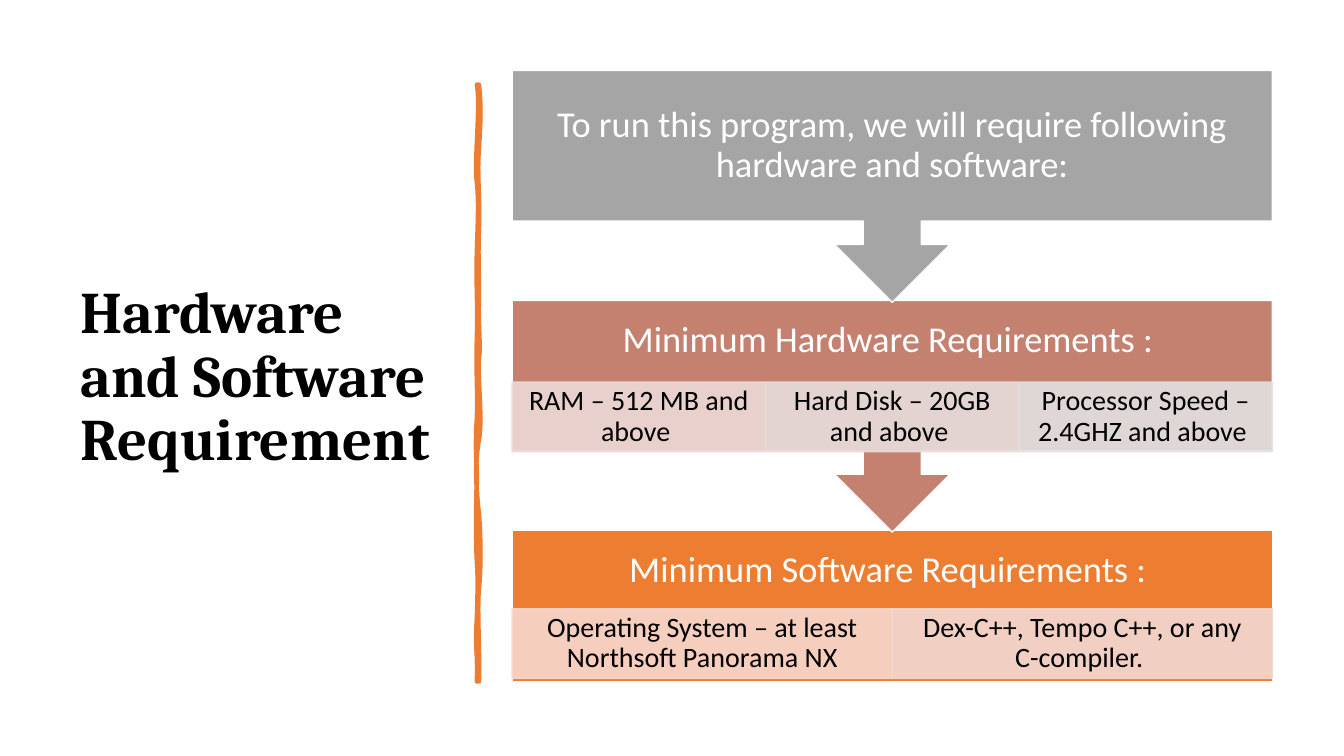
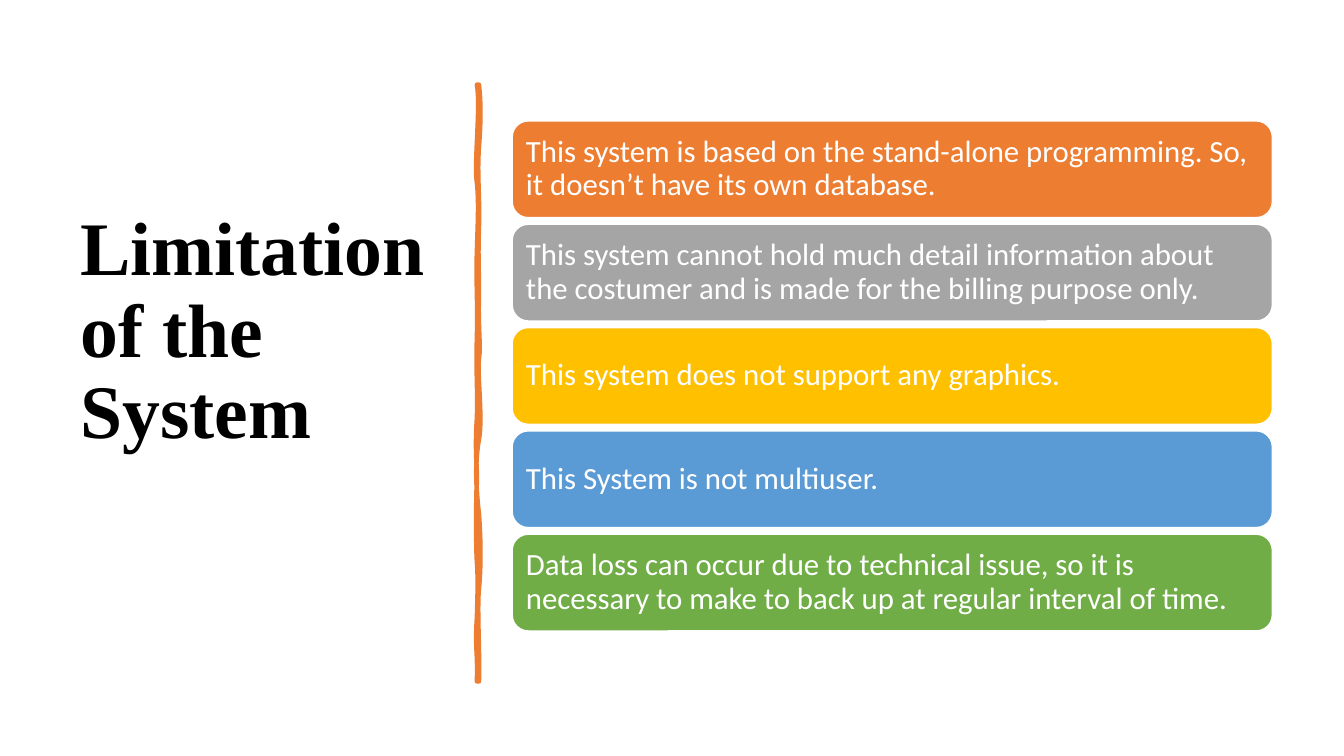
from pptx import Presentation
from pptx.dml.color import RGBColor
from pptx.enum.shapes import MSO_SHAPE
from pptx.enum.text import MSO_ANCHOR, PP_ALIGN
from pptx.oxml.ns import qn
from pptx.util import Inches, Pt
from lxml.etree import SubElement

WHITE, BLACK, ORANGE, GRAY = "FFFFFF", "000000", "ED7D31", "A5A5A5"
BODY_FONT = "Calibri"
LEFT, WIDTH = 5.08, 7.54
TITLE_LEFT, TITLE_TOP, TITLE_WIDTH = 0.7, 0.7, 3.74

REQUIREMENTS_TITLE = ("Hardware and Software Requirement", "Cambria", 42, 6.1)
LIMITATIONS_TITLE = ("Limitation of the System", "Times New Roman", 54, 5.2)

STEP_TOP, STEP_PITCH, STEP_HEIGHT, CALLOUT_HEIGHT = 0.7, 2.28, 1.5, 2.3
DETAIL_HEIGHT = 0.69
STEPS = [
    ("To run this program, we will require following hardware and software:", GRAY, 0, []),
    ("Minimum Hardware Requirements : ", "C48170", 0.81, [
        ("RAM – 512 MB and above ", "EDD9D7"),
        ("Hard Disk – 20GB and above ", "E7DCDC"),
        ("Processor Speed – 2.4GHZ and above ", "E1E1E1"),
    ]),
    ("Minimum Software Requirements : ", ORANGE, 0.78, [
        ("Operating System – at least Northsoft Panorama NX", "F8D7CE"),
        ("Dex-C++, Tempo C++, or any C-compiler. ", "F2D8D2"),
    ]),
]

CARD_TOP, CARD_LAST_TOP, CARD_HEIGHT = 1.2, 5.3, 0.96
LIMITATIONS = [
    ("This system is based on the stand-alone programming. So, it doesn’t have its own database.", ORANGE),
    ("This system cannot hold much detail information about the costumer and is made for the "
     "billing purpose only.", GRAY),
    ("This system does not support any graphics.", "FFC000"),
    ("This System is not multiuser.", "5B9BD5"),
    ("Data loss can occur due to technical issue, so it is necessary to make to back up at "
     "regular interval of time.", "70AD47"),
]

STROKE_START = (4.75, 0.84)
STROKE_CURVES = [
    ((4.77, 1.02), (4.77, 1.19), (4.75, 1.46)),
    ((4.73, 1.73), (4.76, 1.95), (4.75, 2.26)),
    ((4.74, 2.57), (4.75, 2.62), (4.75, 2.94)),
    ((4.74, 3.25), (4.77, 3.42), (4.75, 3.56)),
    ((4.73, 3.7), (4.79, 4.14), (4.75, 4.36)),
    ((4.71, 4.57), (4.72, 4.84), (4.75, 5.1)),
    ((4.77, 5.36), (4.77, 5.64), (4.75, 5.84)),
    ((4.73, 6.03), (4.76, 6.5), (4.75, 6.76)),
    ((4.74, 6.76), (4.73, 6.76), (4.73, 6.76)),
    ((4.74, 6.46), (4.71, 6.44), (4.73, 6.13)),
    ((4.74, 5.83), (4.74, 5.7), (4.73, 5.57)),
    ((4.72, 5.44), (4.72, 4.95), (4.73, 4.77)),
    ((4.73, 4.59), (4.71, 4.45), (4.73, 4.15)),
    ((4.74, 3.86), (4.72, 3.73), (4.73, 3.35)),
    ((4.74, 2.98), (4.72, 2.81), (4.73, 2.5)),
    ((4.74, 2.18), (4.75, 2), (4.73, 1.81)),
    ((4.7, 1.63), (4.77, 1.04), (4.73, 0.84)),
    ((4.74, 0.84), (4.74, 0.84), (4.75, 0.84)),
]


def rgb(color):
    """Turn a hex string into a colour."""
    return RGBColor.from_string(color)


def paint(shape, fill, line, line_width=1, alpha=None):
    """Give a shape its fill and outline, without shadow."""
    shape.shadow.inherit = False
    shape.fill.solid()
    shape.fill.fore_color.rgb = rgb(fill)
    shape.line.color.rgb = rgb(line)
    shape.line.width = Pt(line_width)
    if alpha:
        for color in shape._element.spPr.iter(qn("a:srgbClr")):
            SubElement(color, qn("a:alpha"), val=str(alpha * 1000))


def write(shape, text, size, color, insets, align=PP_ALIGN.LEFT, font=BODY_FONT, bold=False):
    """Put one paragraph into a shape, centred vertically."""
    frame = shape.text_frame
    frame.word_wrap = True
    frame.vertical_anchor = MSO_ANCHOR.MIDDLE
    (frame.margin_left, frame.margin_top,
     frame.margin_right, frame.margin_bottom) = map(Inches, insets)
    paragraph = frame.paragraphs[0]
    paragraph.alignment = align
    paragraph.line_spacing = 0.9
    run = paragraph.add_run()
    run.text = text
    run.font.name, run.font.size, run.font.bold = font, Pt(size), bold
    run.font.color.rgb = rgb(color)


def add_block(slide, preset, *box):
    """Add a preset shape at a place in inches."""
    return slide.shapes.add_shape(preset, *map(Inches, box))


def add_stroke(slide):
    """Draw the wavy vertical divider, bending each segment into a cubic curve."""
    builder = slide.shapes.build_freeform(*map(Inches, STROKE_START))
    builder.add_line_segments([tuple(map(Inches, curve[-1])) for curve in STROKE_CURVES], close=True)
    stroke = builder.convert_to_shape()
    segments = list(stroke._element.spPr.iter(qn("a:lnTo")))
    for segment, curve in zip(segments, STROKE_CURVES):
        segment.tag = qn("a:cubicBezTo")
        segment.clear()
        for x, y in curve:
            SubElement(segment, qn("a:pt"), x=str(Inches(x) - stroke.left),
                       y=str(Inches(y) - stroke.top))
    paint(stroke, ORANGE, ORANGE, 3.25)
    SubElement(stroke._element.spPr.find(qn("a:ln")), qn("a:round"))


def add_titled_slide(deck, text, font, size, height):
    """Add a blank slide with the title and divider."""
    slide = deck.slides.add_slide(deck.slide_layouts[6])
    title = slide.shapes.add_textbox(*map(Inches, (TITLE_LEFT, TITLE_TOP, TITLE_WIDTH, height)))
    write(title, text, size, BLACK, (0.1, 0.05, 0.1, 0.05), font=font, bold=True)
    add_stroke(slide)
    return slide


def add_step(slide, index):
    """Add one step of the process with its details."""
    heading, color, detail_offset, details = STEPS[index]
    top = STEP_TOP + index * STEP_PITCH
    if index == len(STEPS) - 1:
        preset, height = MSO_SHAPE.RECTANGLE, STEP_HEIGHT
    else:
        preset, height = MSO_SHAPE.DOWN_ARROW_CALLOUT, CALLOUT_HEIGHT
    step = add_block(slide, preset, LEFT, top, WIDTH, height)
    paint(step, color, WHITE)
    bottom_inset = 0.2 + (DETAIL_HEIGHT if details else 0)
    write(step, heading, 26, WHITE, (0.2, 0.2, 0.2, bottom_inset), PP_ALIGN.CENTER)
    for column, (text, tint) in enumerate(details):
        width = WIDTH / len(details)
        detail = add_block(slide, MSO_SHAPE.RECTANGLE, LEFT + column * width,
                           top + detail_offset, width, DETAIL_HEIGHT)
        paint(detail, tint, tint, alpha=90)
        write(detail, text, 20, BLACK, (0.16, 0.03, 0.16, 0.03), PP_ALIGN.CENTER)


def main():
    """Build the deck."""
    deck = Presentation()
    deck.slide_width, deck.slide_height = Inches(13.33), Inches(7.5)

    requirements = add_titled_slide(deck, *REQUIREMENTS_TITLE)
    for index in reversed(range(len(STEPS))):
        add_step(requirements, index)

    limitations = add_titled_slide(deck, *LIMITATIONS_TITLE)
    pitch = (CARD_LAST_TOP - CARD_TOP) / (len(LIMITATIONS) - 1)
    for row, (text, color) in enumerate(LIMITATIONS):
        card = add_block(limitations, MSO_SHAPE.ROUNDED_RECTANGLE,
                         LEFT, CARD_TOP + row * pitch, WIDTH, CARD_HEIGHT)
        paint(card, color, WHITE)
        write(card, text, 22, WHITE, (0.09,) * 4)

    deck.save("out.pptx")


if __name__ == "__main__":
    main()
